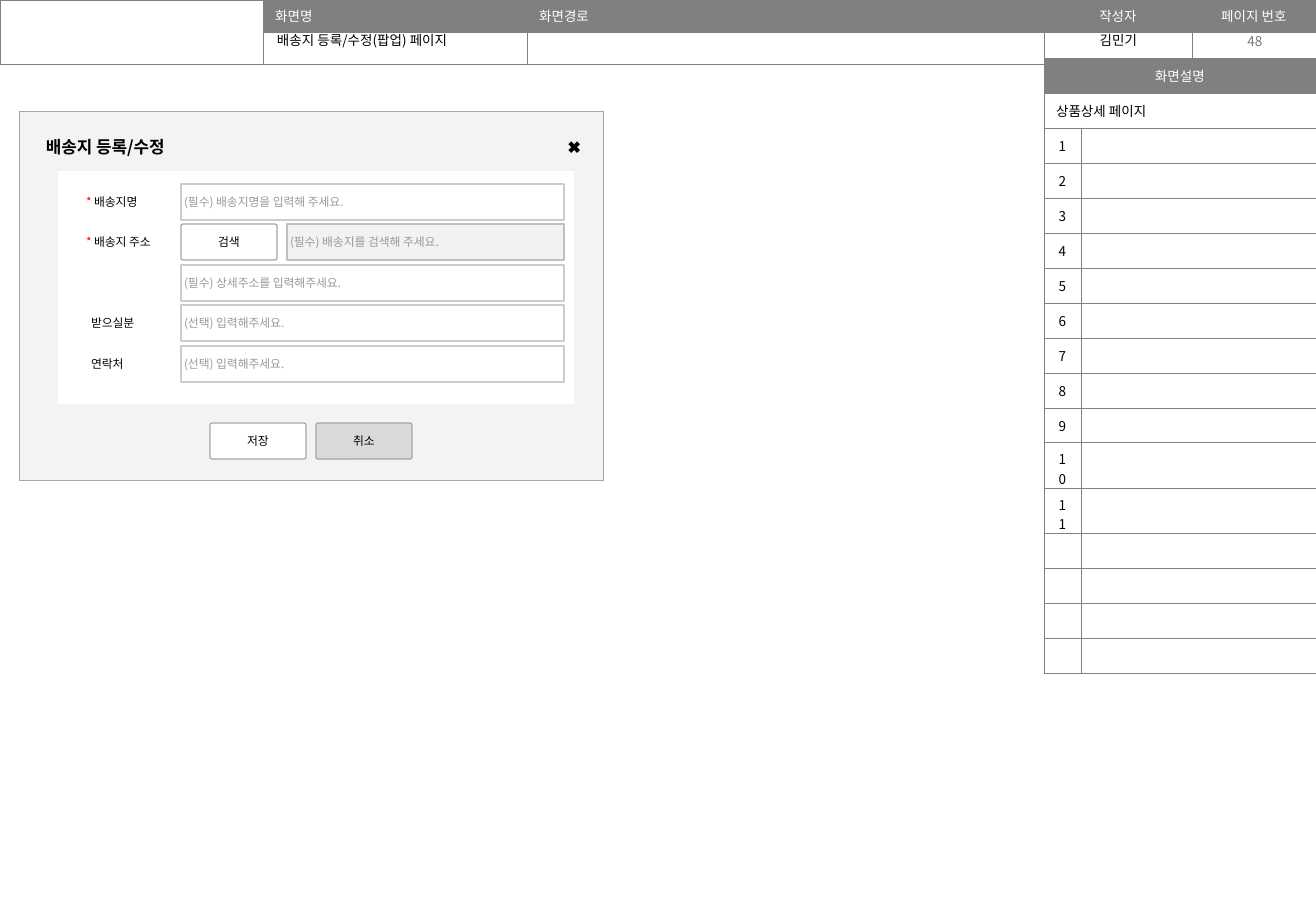
from pptx import Presentation
from pptx.dml.color import RGBColor
from pptx.enum import shapes, text
from pptx.oxml import parse_xml
from pptx.oxml.ns import nsdecls, qn
from pptx.util import Pt

PX = 7526
FONT = "Noto Sans CJK KR"
BLACK, WHITE, GRAY, HINT, RED = "000000", "FFFFFF", "808080", "999999", "FF0000"
LEFT, MID, RIGHT = text.PP_ALIGN.LEFT, text.PP_ALIGN.CENTER, text.PP_ALIGN.RIGHT

HEAD = [("", LEFT), ("화면명", LEFT), ("화면경로", LEFT),
        ("작성자", MID), ("페이지 번호", MID)]
HEAD_COLS = [263, 264, 517, 148, 124]
NOTE_COLS = [37, 235]
NOTES = ["화면설명", "상품상세 페이지"] + [str(n) for n in range(1, 12)] + [""] * 4

# text, box, colour, alignment
CAPTIONS = [
    ("김민기", (1044, 26, 149, 29), BLACK, MID),
    ("48", (1194, 27, 122, 29), "797979", MID),
    ("배송지 등록/수정(팝업) 페이지", (265, 26, 261, 29), BLACK, LEFT),
]

# required, label, hint
FORM = [
    (True, "배송지명", "(필수) 배송지명을 입력해 주세요."),
    (True, "배송지 주소", "(필수) 배송지를 검색해 주세요."),
    (False, "", "(필수) 상세주소를 입력해주세요."),
    (False, "받으실분", "(선택) 입력해주세요."),
    (False, "연락처", "(선택) 입력해주세요."),
]
SEARCH = 1
BUTTONS = [("검색", 181, 224, WHITE), ("저장", 210, 423, WHITE), ("취소", 316, 423, "D9D9D9")]

deck = Presentation()
deck.slide_width, deck.slide_height = 1316 * PX, 911 * PX
slide = deck.slides.add_slide(deck.slide_layouts[6])


def rgb(hue):
    return RGBColor.from_string(hue)


def scale(box):
    return [n * PX for n in box]


def style(run, size, hue, bold=False):
    run.font.size, run.font.name, run.font.bold = Pt(size), FONT, bold
    run.font.color.rgb = rgb(hue)
    ea = run.font._element.makeelement(qn("a:ea"), {"typeface": FONT})
    run.font._element.find(qn("a:latin")).addnext(ea)


def write(para, parts, size=8, align=LEFT, bold=False):
    """Fill a paragraph with (text, colour) runs."""
    para.alignment = align
    for words, hue in parts:
        run = para.add_run()
        run.text = words
        style(run, size, hue, bold)


def edge(cell):
    """Draw thin grey borders on the four sides of a cell."""
    props = cell._tc.get_or_add_tcPr()
    for at, side in enumerate(("lnL", "lnR", "lnT", "lnB")):
        props.insert(at, parse_xml(
            f'<a:{side} {nsdecls("a")} w="3175"><a:solidFill>'
            f'<a:srgbClr val="{GRAY}"/></a:solidFill></a:{side}>'))


def grid(x, y, cols, rows):
    box = scale((x, y, sum(cols), sum(rows)))
    table = slide.shapes.add_table(len(rows), len(cols), *box).table
    table.first_row = table.horz_banding = False
    for col, wide in zip(table.columns, cols):
        col.width = wide * PX
    for row, high in zip(table.rows, rows):
        row.height = high * PX
    for cell in table.iter_cells():
        cell.fill.background()
        edge(cell)
        end = cell.text_frame.paragraphs[0]._p.get_or_add_endParaRPr()
        end.set("sz", "800")
    return table


def put(cell, words, hue, align, fill=None):
    if words:
        write(cell.text_frame.paragraphs[0], [(words, hue)], align=align)
    if fill:
        cell.fill.solid()
        cell.fill.fore_color.rgb = rgb(fill)


def block(box, parts=(), fill=None, line=None, width=0.75, size=7,
          align=LEFT, bold=False, inset=0, curve=0):
    """Add a rounded box with optional text."""
    shape = slide.shapes.add_shape(shapes.MSO_SHAPE.ROUNDED_RECTANGLE, *scale(box))
    shape.adjustments[0] = curve
    shape.shadow.inherit = False
    if fill:
        shape.fill.solid()
        shape.fill.fore_color.rgb = rgb(fill)
    else:
        shape.fill.background()
    if line:
        shape.line.color.rgb = rgb(line)
        shape.line.width = Pt(width)
    else:
        shape.line.fill.background()
    frame = shape.text_frame
    frame.word_wrap = True
    frame.vertical_anchor = text.MSO_ANCHOR.MIDDLE
    frame.margin_left = inset * PX
    frame.margin_top = frame.margin_right = frame.margin_bottom = 0
    write(frame.paragraphs[0], parts, size, align, bold)


head = grid(0, 0, HEAD_COLS, [32, 32])
head.cell(0, 0).merge(head.cell(1, 0))
for i, (words, align) in enumerate(HEAD):
    put(head.cell(0, i), words, WHITE, align, GRAY if words else None)

notes = grid(1044, 58, NOTE_COLS, [44 if len(n) == 2 else 35 for n in NOTES])
for i, words in enumerate(NOTES):
    cell = notes.cell(i, 0)
    cell.vertical_anchor = text.MSO_ANCHOR.MIDDLE
    if i < 2:
        cell.merge(notes.cell(i, 1))
    if len(words) == 2:
        cell.margin_bottom = 0
    put(cell, words, BLACK if i else WHITE, LEFT if i == 1 else MID, None if i else GRAY)

for words, box, hue, align in CAPTIONS:
    frame = slide.shapes.add_textbox(*scale(box)).text_frame
    frame.word_wrap = True
    write(frame.paragraphs[0], [(words, hue)], align=align)

block((19, 111, 584, 369), fill="F3F3F3", line="A6A6A6", width=0.25)
block((58, 171, 516, 233), fill=WHITE)
block((46, 129, 479, 36), [("배송지 등록/수정", BLACK)], size=10, bold=True)
block((525, 129, 56, 36), [("✖", BLACK)], size=10, align=RIGHT)

for i, (need, label, hint) in enumerate(FORM):
    y = 184 + i * 81 // 2
    if label:
        star = [("* ", RED)] if need else []
        block((86, y, 96, 36), star + [(label, BLACK)], inset=0 if need else 5)
    x, fill, line = (287, "F2F2F2", "BFBFBF") if i == SEARCH else (181, WHITE, "CCCCCC")
    block((x, y, 564 - x, 36), [(hint, HINT)], fill, line, inset=3)

for words, x, y, fill in BUTTONS:
    block((x, y, 96, 36), [(words, BLACK)], fill, "A6A6A6", align=MID, curve=0.06)

deck.save("out.pptx")
